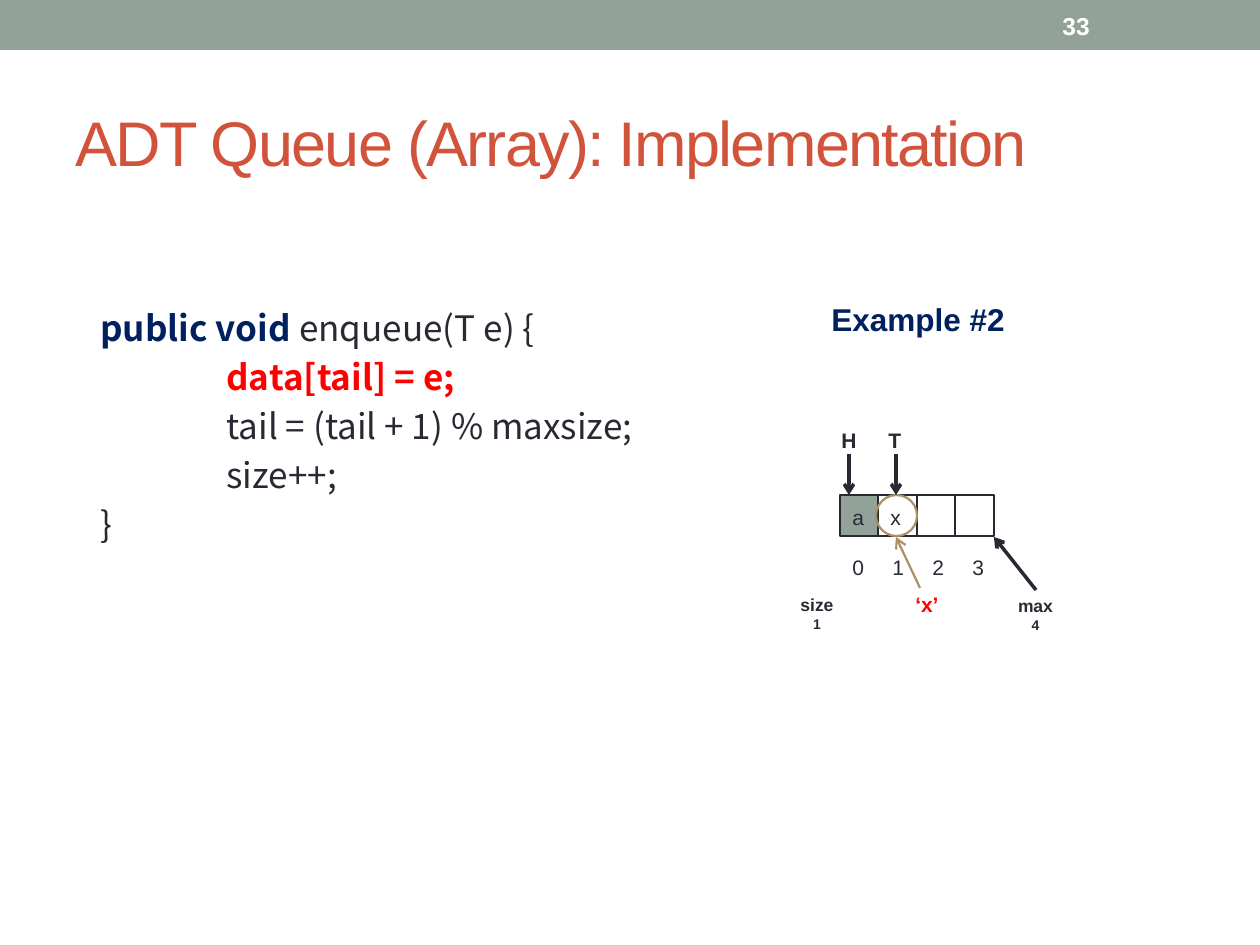
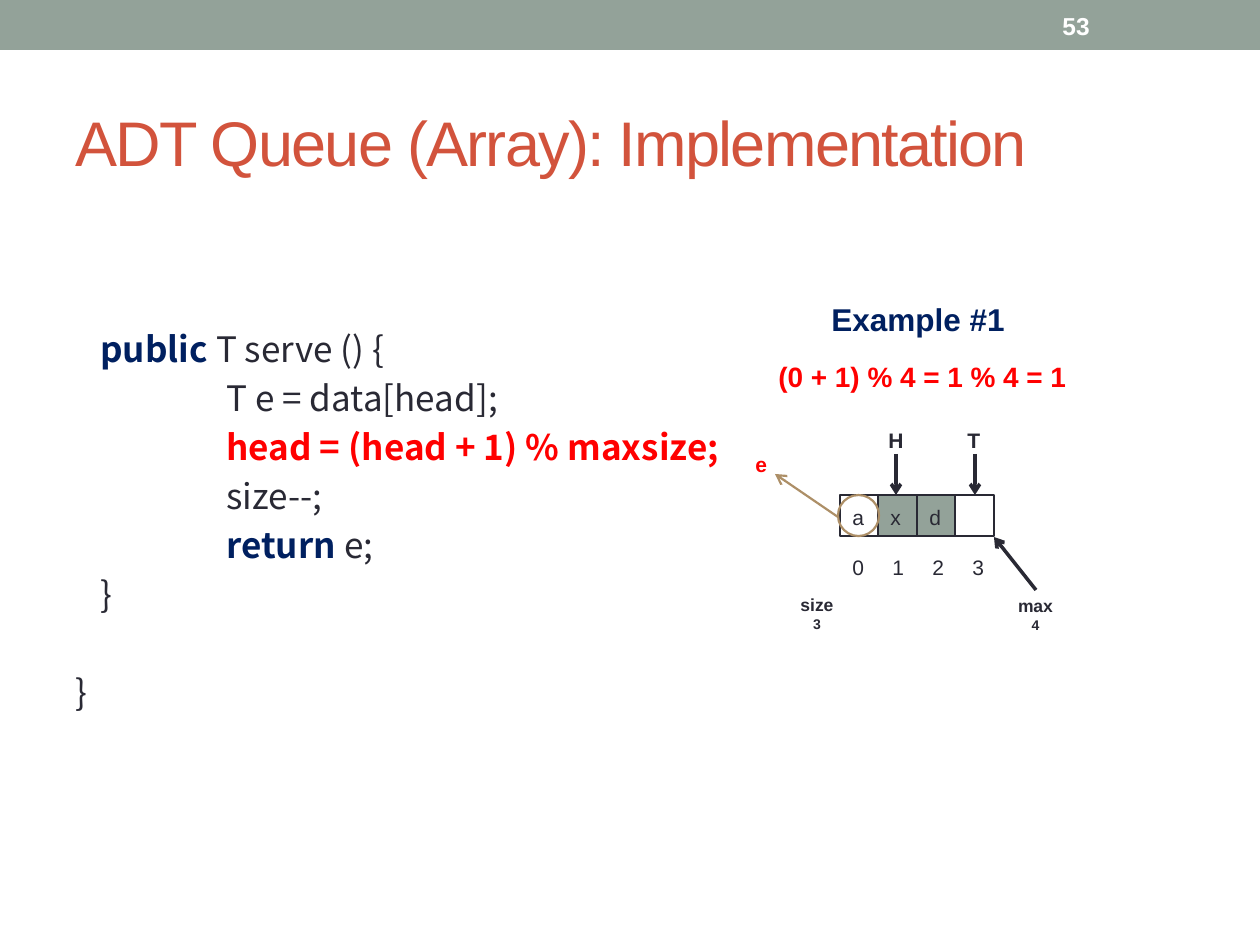
from pptx import Presentation
from pptx.dml.color import RGBColor
from pptx.enum.shapes import MSO_CONNECTOR as Conn, MSO_SHAPE as Kind
from pptx.enum.text import MSO_ANCHOR as Anchor, MSO_AUTO_SIZE as Auto, PP_ALIGN as Align
from pptx.oxml.ns import qn
from pptx.util import Emu, Pt
from lxml.etree import SubElement as Sub

SAGE, INK, NAVY = "93A299", "292934", "002060"
RED, RUST, TAN, WHITE = "FF0000", "D2533C", "AD8F67", "FFFFFF"
SANS, CODE = "Arial", "Noto Sans CJK SC"
INDENT = [0, 25, 151]
LEFT, TOP, SIDE, TALL = 840, 495, 39, 41


def px(num):
    return Emu(round(num * 914400 / 126))


def tint(code):
    return RGBColor.from_string(code)


def style(run, size, color=INK, bold=False, face=SANS):
    font = run.font
    font.name, font.size, font.bold = face, Pt(size), bold
    font.color.rgb = tint(color)


def shape(slide, kind, box, fill=None, line=None):
    item = slide.shapes.add_shape(kind, *map(px, box))
    item.shadow.inherit = False
    if fill:
        item.fill.solid()
        item.fill.fore_color.rgb = tint(fill)
    else:
        item.fill.background()
    if line:
        item.line.color.rgb = tint(line)
        item.line.width = Pt(1.25)
    else:
        item.line.fill.background()
    return item


def label(slide, text, box, sizes=(12,), color=INK, bold=False, align=Align.LEFT):
    frame = slide.shapes.add_textbox(*map(px, box)).text_frame
    frame.text = text
    frame.word_wrap = False
    frame.auto_size = Auto.SHAPE_TO_FIT_TEXT
    for para, size in zip(frame.paragraphs, sizes):
        para.alignment = align
        style(para.runs[0], size, color, bold)


def arrow(slide, start, end, color=INK, width=2):
    line = slide.shapes.add_connector(Conn.STRAIGHT, *map(px, start + end))
    line.line.color.rgb = tint(color)
    line.line.width = Pt(width)
    Sub(line.line._get_or_add_ln(), qn("a:tailEnd"), type="arrow")
    Sub(line.element.spPr, qn("a:effectLst"))


def band(slide, layout):
    bar = shape(slide, Kind.RECTANGLE, (0, 0, 1260, 50), SAGE)
    layout.shapes.element.insert(2, bar.element)


def title(slide, text):
    head = slide.shapes.title
    head.left, head.top, head.width, head.height = map(px, (63, 73, 1134, 136))
    frame = head.text_frame
    frame.text = text
    frame.vertical_anchor = Anchor.MIDDLE
    para = frame.paragraphs[0]
    para.alignment = Align.LEFT
    style(para.runs[0], 36, RUST)
    para.runs[0].font._element.set("spc", "-100")


def number(slide, text):
    frame = slide.shapes.add_textbox(*map(px, (1050, 3, 147, 45))).text_frame
    frame.text = text
    frame.word_wrap = True
    frame.vertical_anchor = Anchor.MIDDLE
    style(frame.paragraphs[0].runs[0], 14, WHITE, True)


def code(slide, top, lines):
    box = (63, top, 700, 49 * len(lines) + 13)
    frame = slide.shapes.add_textbox(*map(px, box)).text_frame
    frame.word_wrap = True
    for num, (level, strong, color, plain) in enumerate(lines):
        para = frame.add_paragraph() if num else frame.paragraphs[0]
        para.line_spacing = Pt(28)
        para.space_before = Pt(0 if level else 28)
        para._p.get_or_add_pPr().set("marL", str(px(INDENT[level])))
        for text, hue, bold in ((strong, color, True), (plain, INK, False)):
            if text:
                run = para.add_run()
                run.text = text
                style(run, 20, hue, bold, CODE)


def pointer(slide, name, mid):
    label(slide, name, (mid - 20, 421, 40, 38), bold=True)
    arrow(slide, (mid, 454), (mid, TOP))


def queue(slide, items, full, ring, size):
    lefts = [LEFT + 77 * num // 2 for num in range(4)]
    for num, left in enumerate(lefts):
        fill = SAGE if num in full else WHITE
        shape(slide, Kind.RECTANGLE, (left, TOP, SIDE, TALL), fill, INK)
        label(slide, str(num), (LEFT + 40 * num, 548, SIDE, 38))
    for left, item in zip(lefts, items):
        label(slide, item, (left, 498, SIDE, 38))
    shape(slide, Kind.OVAL, (lefts[ring] - 2, TOP, TALL, TALL), line=TAN)
    for text, box in ((f"size\n{size}", (787, 588, 60, 50)), ("max\n4", (1004, 589, 63, 50))):
        label(slide, text, box, (10, 8), bold=True, align=Align.CENTER)
    arrow(slide, (1036, 590), (994, 537))


def page(deck, layout, num, sample):
    slide = deck.slides.add_slide(layout)
    title(slide, "ADT Queue (Array): Implementation")
    number(slide, num)
    label(slide, sample, (819, 294, 207, 50), (18,), NAVY, True)
    return slide


def main():
    deck = Presentation()
    deck.slide_width, deck.slide_height = px(1260), px(945)
    layout = deck.slide_layouts[5]

    add = page(deck, layout, "33", "Example #2")
    band(add, layout)
    code(add, 293, [
        (1, "public void ", NAVY, "enqueue(T e) {"),
        (2, "data[tail] = e;", RED, ""),
        (2, "", INK, "tail = (tail + 1) % maxsize;"),
        (2, "", INK, "size++;"),
        (1, "", INK, "}"),
    ])
    queue(add, "ax", {0}, 1, 1)
    pointer(add, "H", 849)
    pointer(add, "T", 896)
    arrow(add, (920, 588), (896, 537), TAN, 1.25)
    label(add, "‘x’", (901, 585, 52, 38), color=RED, bold=True, align=Align.CENTER)

    serve = page(deck, layout, "53", "Example #1")
    code(serve, 314, [
        (1, "public ", NAVY, "T serve () {"),
        (2, "", INK, "T e = data[head];"),
        (2, "head = (head + 1) % maxsize;", RED, ""),
        (2, "", INK, "size--;"),
        (2, "return ", NAVY, "e;"),
        (1, "", INK, "}"),
        (0, "", INK, "}"),
    ])
    queue(serve, "axd", {1, 2}, 0, 3)
    pointer(serve, "H", 896)
    pointer(serve, "T", 975)
    arrow(serve, (838, 517), (775, 474), TAN, 1.25)
    label(serve, "e", (743, 445, 37, 38), color=RED, bold=True)
    label(serve, "(0 + 1) % 4 = 1 % 4 = 1", (766, 353, 348, 47), (16,), RED, True)

    deck.save("out.pptx")


main()
